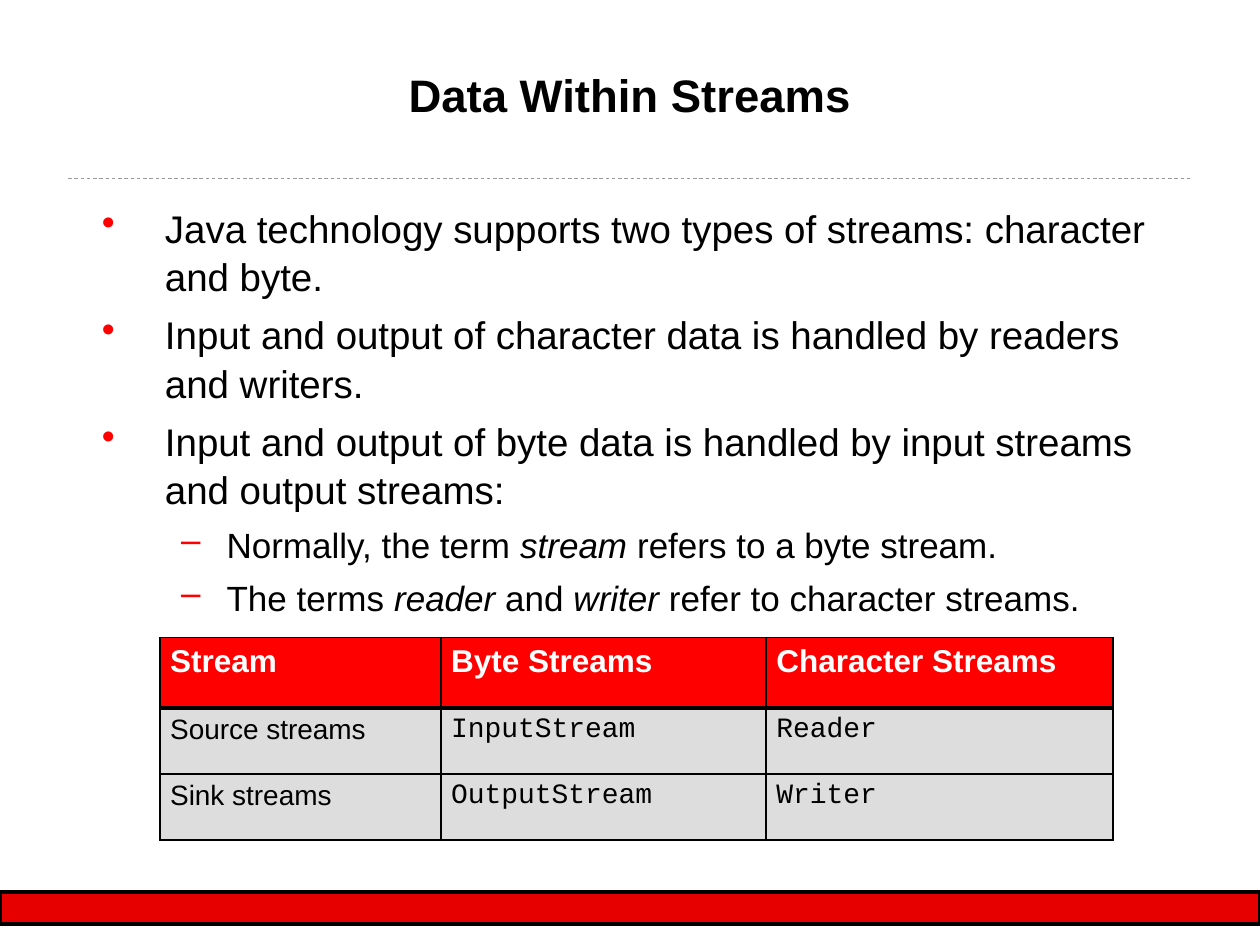
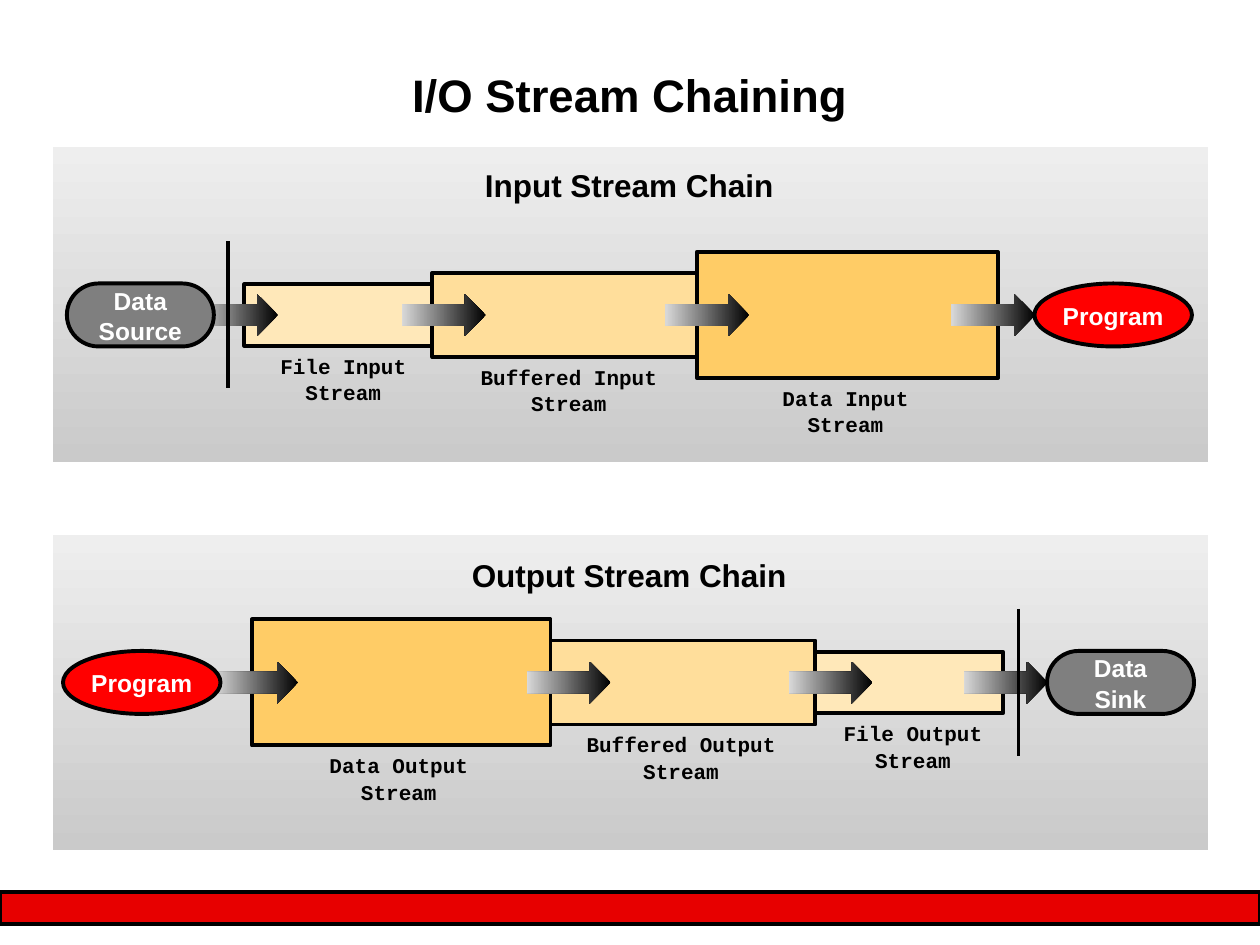
from lxml import etree
from pptx import Presentation
from pptx.dml.color import RGBColor
from pptx.enum.dml import MSO_LINE
from pptx.enum.shapes import MSO_CONNECTOR, MSO_SHAPE
from pptx.enum.text import MSO_ANCHOR, PP_ALIGN
from pptx.oxml.ns import qn
from pptx.util import Pt

BAND = MSO_SHAPE.FLOWCHART_PROCESS
ROUNDED = MSO_SHAPE.ROUNDED_RECTANGLE
ELLIPSE = MSO_SHAPE.OVAL
ARROW = MSO_SHAPE.RIGHT_ARROW
STRAIGHT = MSO_CONNECTOR.STRAIGHT
DASH = MSO_LINE.DASH
LEFT, CENTER = PP_ALIGN.LEFT, PP_ALIGN.CENTER
TOP, MIDDLE = MSO_ANCHOR.TOP, MSO_ANCHOR.MIDDLE

SANS, MONO = "Arial", "Courier New"
COLORS = {
    "black": "000000", "white": "FFFFFF", "red": "FF0000", "band": "E70000",
    "rule": "999999", "cell": "DDDDDD", "endpoint": "7F7F7F",
    "panel_light": "EEEEEE", "panel_dark": "CACACA", "arrow_light": "D9D9D9",
    "File": "FFE8B9", "Buffered": "FFDE9B", "Data": "FFCC66",
}
OUTLINE = 2.25
LINE_SPACING = 1.05

BULLETS = [
    (1, ["Java technology supports two types of streams: character and byte."]),
    (1, ["Input and output of character data is handled by readers and writers."]),
    (1, ["Input and output of byte data is handled by input streams and output streams:"]),
    (2, ["Normally, the term ", "stream ", "refers to a byte stream."]),
    (2, ["The terms ", "reader ", "and", " writer ", "refer to character streams."]),
]
BULLET_LEVELS = {
    1: {"char": "•", "size": 22, "margin": 45.4, "hang": 36, "before": 5.5},
    2: {"char": "–", "size": 20, "margin": 80.6, "hang": 25.9, "before": 5},
}

STREAM_TABLE = [
    ["Stream", "Byte Streams", "Character Streams"],
    ["Source streams", "InputStream", "Reader"],
    ["Sink streams", "OutputStream", "Writer"],
]
COLUMN_WIDTHS = [160.6, 185.8, 198]
ROW_HEIGHTS = [40.3, 37.7, 37.7]
THIN_BORDER, THICK_BORDER = 1.08, 2.21

PANEL_LEFT, PANEL_WIDTH, PANEL_HEIGHT = 30.2, 660, 180
STAGE_HEIGHTS = {"File": 35.2, "Buffered": 48, "Data": 72}
ARROW_WIDTH, ARROW_HEIGHT = 48, 24
ENDPOINT_HEIGHT, WALL_HEIGHT = 36, 84
CHAINS = [
    {
        "direction": "Input", "panel_top": 84, "heading": (90, 179.3),
        "axis": 180, "wall": 130.3, "label_inset": 0,
        "stages": [
            ("File", (139.7, 120.2), (138.2, 115.9)),
            ("Buffered", (247, 180.7), (253.4, 143.3)),
            ("Data", (398.2, 172.1), (426.2, 113.8)),
        ],
        "arrows": [110.9, 229.7, 380.2, 543.6],
        "endpoint": ("Data Source", 38.2), "program": 591.1,
    },
    {
        "direction": "Output", "panel_top": 306, "heading": (313.2, 194.4),
        "axis": 390, "wall": 582, "label_inset": 7.2,
        "stages": [
            ("File", (452.9, 120.2), (455.8, 131.8)),
            ("Buffered", (285.1, 180.7), (305.3, 167.8)),
            ("Data", (144, 170.6), (162, 131.8)),
        ],
        "arrows": [122.4, 301, 450.7, 550.8],
        "endpoint": ("Data Sink", 598.3), "program": 36,
    },
]


def rgb(color):
    return RGBColor.from_string(COLORS[color])


def points(*lengths):
    return [Pt(length) for length in lengths]


def set_font(paragraph, size, color="black", bold=False, name=SANS):
    font = paragraph.font
    font.name, font.size, font.bold = name, Pt(size), bold
    font.color.rgb = rgb(color)


def set_frame(frame, horizontal, vertical, anchor=TOP):
    frame.word_wrap = True
    frame.vertical_anchor = anchor
    frame.margin_left = frame.margin_right = Pt(horizontal)
    frame.margin_top = frame.margin_bottom = Pt(vertical)


def write(frame, text, size, color="black", bold=True, name=SANS,
          spacing=LINE_SPACING, alignment=CENTER):
    paragraph = frame.paragraphs[0]
    paragraph.text = text
    paragraph.alignment = alignment
    paragraph.line_spacing = spacing
    set_font(paragraph, size, color, bold, name)


def add_text(slide, box, text, size, inset=(7.2, 3.6), name=SANS):
    frame = slide.shapes.add_textbox(*points(*box)).text_frame
    set_frame(frame, *inset)
    write(frame, text, size, name=name)


def add_shape(slide, kind, box, fill=None, gradient=None, outlined=True, corner=None):
    shape = slide.shapes.add_shape(kind, *points(*box))
    shape.shadow.inherit = False
    if corner is not None:
        shape.adjustments[0] = corner
    if gradient:
        *stop_colors, angle = gradient
        shape.fill.gradient()
        shape.fill.gradient_angle = angle
        for stop, color in zip(shape.fill.gradient_stops, stop_colors):
            stop.color.rgb = rgb(color)
    else:
        shape.fill.solid()
        shape.fill.fore_color.rgb = rgb(fill)
    if outlined:
        shape.line.color.rgb = rgb("black")
        shape.line.width = Pt(OUTLINE)
    else:
        shape.line.fill.background()
    return shape


def add_line(slide, start, end, color, width, dash=None):
    line = slide.shapes.add_connector(STRAIGHT, *points(*start, *end))
    line.line.color.rgb = rgb(color)
    line.line.width = Pt(width)
    if dash:
        line.line.dash_style = dash
    etree.SubElement(line._element.spPr, qn("a:effectLst"))


def add_base_slide(presentation, title):
    slide = presentation.slides.add_slide(presentation.slide_layouts[6])
    add_shape(slide, BAND, (0, 509.8, 720, 18), "band")
    add_text(slide, (48.2, 34.6, 623.5, 69.1), title, 26, inset=(0.7, 2.2))
    return slide


def add_bullet(paragraph, level):
    properties = paragraph._p.get_or_add_pPr()
    properties.set("marL", str(Pt(level["margin"])))
    properties.set("indent", str(-Pt(level["hang"])))
    color = etree.SubElement(properties, qn("a:buClr"))
    etree.SubElement(color, qn("a:srgbClr"), val=COLORS["red"])
    etree.SubElement(properties, qn("a:buChar"), char=level["char"])


def add_bullets(slide):
    frame = slide.shapes.add_textbox(*points(48.2, 115, 623.5, 261.4)).text_frame
    set_frame(frame, 0.7, 0.7)
    for index, (level_number, pieces) in enumerate(BULLETS):
        level = BULLET_LEVELS[level_number]
        paragraph = frame.add_paragraph() if index else frame.paragraphs[0]
        add_bullet(paragraph, level)
        paragraph.line_spacing = LINE_SPACING
        if index:
            paragraph.space_before = Pt(level["before"])
        set_font(paragraph, level["size"])
        for position, piece in enumerate(pieces):
            run = paragraph.add_run()
            run.text = piece
            if position % 2:
                run.font.italic = True


def set_borders(cell, top, bottom):
    properties = cell._tc.get_or_add_tcPr()
    widths = {"lnL": THIN_BORDER, "lnR": THIN_BORDER, "lnT": top, "lnB": bottom}
    for index, (side, width) in enumerate(widths.items()):
        border = etree.Element(qn(f"a:{side}"), w=str(Pt(width)))
        fill = etree.SubElement(border, qn("a:solidFill"))
        etree.SubElement(fill, qn("a:srgbClr"), val=COLORS["black"])
        properties.insert(index, border)


def add_stream_table(slide):
    box = points(91.5, 364.3, sum(COLUMN_WIDTHS), sum(ROW_HEIGHTS))
    table = slide.shapes.add_table(len(ROW_HEIGHTS), len(COLUMN_WIDTHS), *box).table
    for column, width in zip(table.columns, COLUMN_WIDTHS):
        column.width = Pt(width)
    for row_index, texts in enumerate(STREAM_TABLE):
        table.rows[row_index].height = Pt(ROW_HEIGHTS[row_index])
        header = row_index == 0
        for column_index, text in enumerate(texts):
            cell = table.cell(row_index, column_index)
            cell.margin_left = cell.margin_right = Pt(5.76)
            cell.fill.solid()
            cell.fill.fore_color.rgb = rgb("red" if header else "cell")
            set_borders(cell, THICK_BORDER if row_index == 1 else THIN_BORDER,
                        THICK_BORDER if header else THIN_BORDER)
            write(cell.text_frame, text, 18 if header else 16,
                  "white" if header else "black", header,
                  MONO if column_index and not header else SANS, 1.0, LEFT)


def add_endpoint(slide, kind, left, axis, width, fill, text, inset, corner=None):
    box = (left, axis - ENDPOINT_HEIGHT / 2, width, ENDPOINT_HEIGHT)
    shape = add_shape(slide, kind, box, fill, corner=corner)
    set_frame(shape.text_frame, inset, 3.6, MIDDLE)
    write(shape.text_frame, text, 14, "white")


def add_chain(slide, chain):
    axis, direction = chain["axis"], chain["direction"]
    add_shape(slide, ROUNDED, (PANEL_LEFT, chain["panel_top"], PANEL_WIDTH, PANEL_HEIGHT),
              gradient=("panel_dark", "panel_light", 90), outlined=False, corner=0)
    heading_top, heading_width = chain["heading"]
    heading_left = PANEL_LEFT + (PANEL_WIDTH - heading_width) / 2 - 0.6
    add_text(slide, (heading_left, heading_top, heading_width, 28.8),
             f"{direction} Stream Chain", 18, inset=(0, 3.6))

    for stage, (left, width), (label_left, label_width) in chain["stages"]:
        height = STAGE_HEIGHTS[stage]
        add_shape(slide, ROUNDED, (left, axis - height / 2, width, height), stage, corner=0)
        add_text(slide, (label_left, axis + height / 2, label_width, 36),
                 f"{stage} {direction} Stream", 12, (chain["label_inset"], 3.6), MONO)

    for left in chain["arrows"]:
        add_shape(slide, ARROW, (left, axis - ARROW_HEIGHT / 2, ARROW_WIDTH, ARROW_HEIGHT),
                  gradient=("black", "arrow_light", 180), outlined=False)

    text, left = chain["endpoint"]
    add_endpoint(slide, ROUNDED, left, axis, 84, "endpoint", text, 7.2, corner=0.5)
    add_endpoint(slide, ELLIPSE, chain["program"], axis, 90, "red", "Program", 0)
    wall, reach = chain["wall"], WALL_HEIGHT / 2
    add_line(slide, (wall, axis - reach), (wall, axis + reach), "black", OUTLINE)


def main():
    presentation = Presentation()
    presentation.slide_width, presentation.slide_height = Pt(720), Pt(540)

    streams_slide = add_base_slide(presentation, "Data Within Streams")
    add_line(streams_slide, (38.9, 102.2), (681.1, 102.2), "rule", 0.5, DASH)
    add_bullets(streams_slide)
    add_stream_table(streams_slide)

    chaining_slide = add_base_slide(presentation, "I/O Stream Chaining")
    for chain in CHAINS:
        add_chain(chaining_slide, chain)

    presentation.save("out.pptx")


if __name__ == "__main__":
    main()
